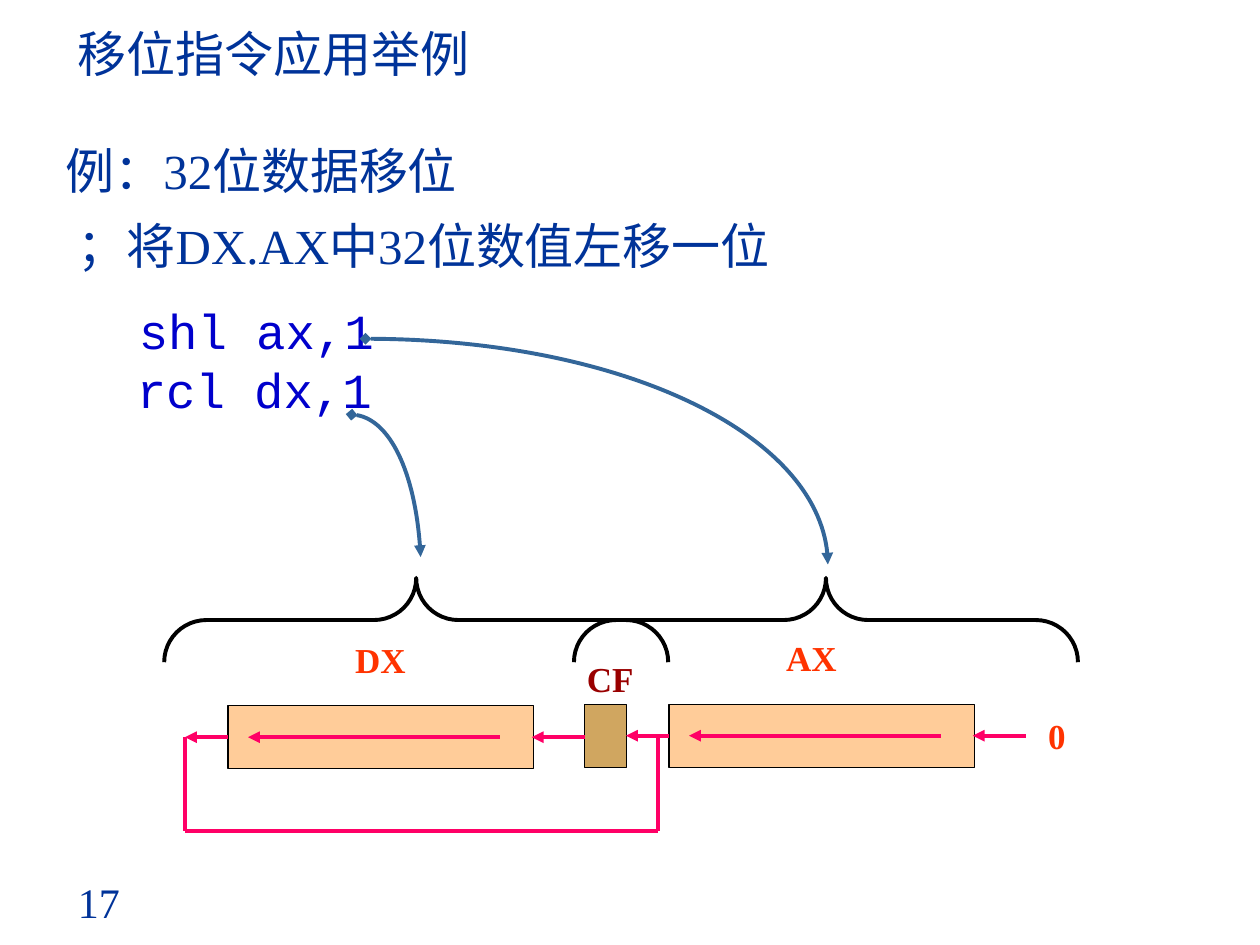
from dataclasses import dataclass
from itertools import pairwise
from pptx import Presentation
from pptx.dml.color import RGBColor
from pptx.enum.shapes import MSO_CONNECTOR as Link, MSO_SHAPE as Kind
from pptx.enum.text import MSO_ANCHOR as Anchor
from pptx.oxml.ns import qn
from pptx.util import Cm, Pt
from lxml.etree import SubElement


@dataclass(frozen=True)
class Theme:
    """Colours, fonts and sizes of the slide."""
    navy: str = "003399"
    code: str = "0000CC"
    label: str = "FF3300"
    flag: str = "990000"
    box: str = "FFCC99"
    tan: str = "D0A660"
    flow: str = "FF0066"
    curve: str = "336699"
    black: str = "000000"
    serif: str = "Times New Roman"
    mono: str = "Courier New"
    big: int = 28
    page: int = 24
    small: int = 20
    thick: float = 2.25
    thin: float = 0.75


T = Theme()

# All lengths are in centimetres.
# Texts: box, anchor, lines of (text, font, size, colour, bold, indent, before, after)
HEAD = (T.serif, T.big, T.navy, False, 0, 0, 0)
TEXTS = [
    ((1.32, 0.23, 17.68, 1.55), Anchor.BOTTOM, [("移位指令应用举例", *HEAD)]),
    ((1.07, 2.59, 18.36, 1.55), Anchor.BOTTOM, [("例：32位数据移位", *HEAD)]),
    ((1.32, 4.22, 18.44, 4.19), Anchor.TOP, [
        ("；将DX.AX中32位数值左移一位", T.serif, T.big, T.navy, False, 0, 0, 2.8),
        ("shl ax,1", T.mono, T.big, T.code, False, 1.23, 12, 0),
        ("rcl dx,1", T.mono, T.big, T.code, False, 1.19, 0, 2.8)]),
    ((1.32, 17.55, 1.63, 1.27), Anchor.TOP,
     [("17", T.serif, T.page, T.navy, False, 0, 0, 0)]),
]
LABELS = [("DX", 6.91, 12.75, T.label), ("AX", 15.6, 12.7, T.label),
          ("CF", 11.58, 13.13, T.flag), ("0", 20.88, 14.27, T.label)]
BOXES = [(4.6, 14.22, 6.15, T.box), (13.49, 14.2, 6.15, T.box),
         (11.79, 14.2, 0.84, T.tan)]
TALL = 1.27
ROW_DX, ROW_AX = 14.86, 14.83
# Arrows: tip, start, row
ARROWS = [(5, 10.08, ROW_DX), (3.73, 4.6, ROW_DX), (10.72, 11.79, ROW_DX),
          (13.89, 18.97, ROW_AX), (12.62, 13.49, ROW_AX), (19.61, 20.68, ROW_AX)]
LOOP = [(3.73, ROW_DX), (3.73, 16.76), (13.26, 16.76), (13.26, ROW_AX)]
BRACES = [7.54, 15.8]
# Curves: start, two control points, end
CURVES = [[(7.37, 6.83), (12.52, 6.83), (16.69, 8.86), (16.69, 11.38)],
          [(7.09, 8.36), (7.8, 8.36), (8.41, 9.6), (8.48, 11.23)]]


def rgb(code):
    """Turn a hex code into a colour."""
    return RGBColor.from_string(code)


def write(box, anchor, lines):
    """Add a text box with one run per line."""
    frame = slide.shapes.add_textbox(*map(Cm, box)).text_frame
    frame.word_wrap = True
    frame.vertical_anchor = anchor
    for i, (text, font, size, color, bold, indent, before, after) in enumerate(lines):
        para = frame.add_paragraph() if i else frame.paragraphs[0]
        para.space_before, para.space_after = Pt(before), Pt(after)
        if indent:
            para._p.get_or_add_pPr().set("marL", str(Cm(indent)))
        run = para.add_run()
        run.text = text
        run.font.name, run.font.size, run.font.bold = font, Pt(size), bold
        run.font.color.rgb = rgb(color)


def ink(shape, color, width, head=None, tail=None):
    """Set the line of a shape and its arrowheads."""
    shape.line.color.rgb = rgb(color)
    shape.line.width = Pt(width)
    for tag, end in (("a:headEnd", head), ("a:tailEnd", tail)):
        if end:
            SubElement(shape.line._get_or_add_ln(), qn(tag), type=end)


def solid(kind, box, fill, width):
    """Add a preset shape, hollow when there is no fill."""
    shape = slide.shapes.add_shape(kind, *map(Cm, box))
    shape.shadow.inherit = False
    if fill:
        shape.fill.solid()
        shape.fill.fore_color.rgb = rgb(fill)
    else:
        shape.fill.background()
    ink(shape, T.black, width)
    return shape


def link(start, end, head=None):
    """Add a straight flow line."""
    line = slide.shapes.add_connector(Link.STRAIGHT, *map(Cm, (*start, *end)))
    ink(line, T.flow, T.thick, head)
    SubElement(line._element.spPr, qn("a:effectLst"))


def bend(points):
    """Add an open Bezier curve through a start, two controls and an end."""
    first, *rest = [(Cm(x), Cm(y)) for x, y in points]
    pen = slide.shapes.build_freeform(*first, scale=1.0)
    pen.add_line_segments(rest, close=False)
    shape = pen.convert_to_shape()
    shape.shadow.inherit = False
    shape.fill.background()
    ink(shape, T.curve, T.thick, "diamond", "triangle")
    route = next(shape._element.iter(qn("a:path")))
    steps = route.findall(qn("a:lnTo"))
    cubic = SubElement(route, qn("a:cubicBezTo"))
    for step in steps:
        cubic.append(step[0])
        route.remove(step)


deck = Presentation()
deck.slide_width, deck.slide_height = Cm(25.4), Cm(19.05)
slide = deck.slides.add_slide(deck.slide_layouts[6])

for item in TEXTS:
    write(*item)
for left, top, wide, fill in BOXES:
    solid(Kind.RECTANGLE, (left, top, wide, TALL), fill, T.thin)
for tip, start, row in ARROWS:
    link((tip, row), (start, row), "triangle")
for start, end in pairwise(LOOP):
    link(start, end)
for name, left, top, color in LABELS:
    write((left, top, 1.7, 1.09), Anchor.TOP,
          [(name, T.serif, T.small, color, True, 0, 0, 0)])
for left in BRACES:
    brace = solid(Kind.LEFT_BRACE, (left, 7.42, 1.7, 10.16), None, T.thick)
    brace.rotation = 90
    brace.adjustments[0], brace.adjustments[1] = 0.5, 0.5
for curve in CURVES:
    bend(curve)

deck.save("out.pptx")
